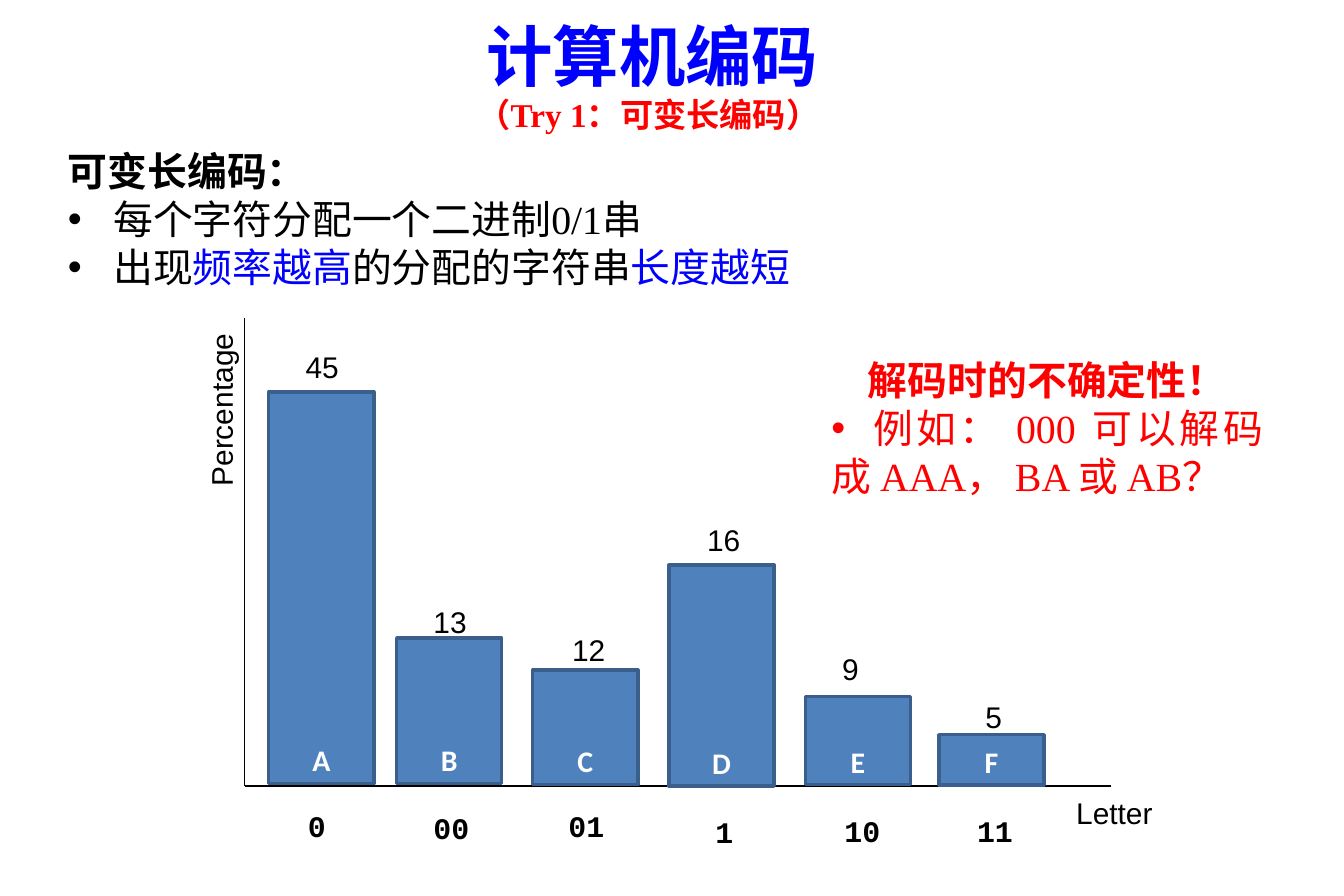
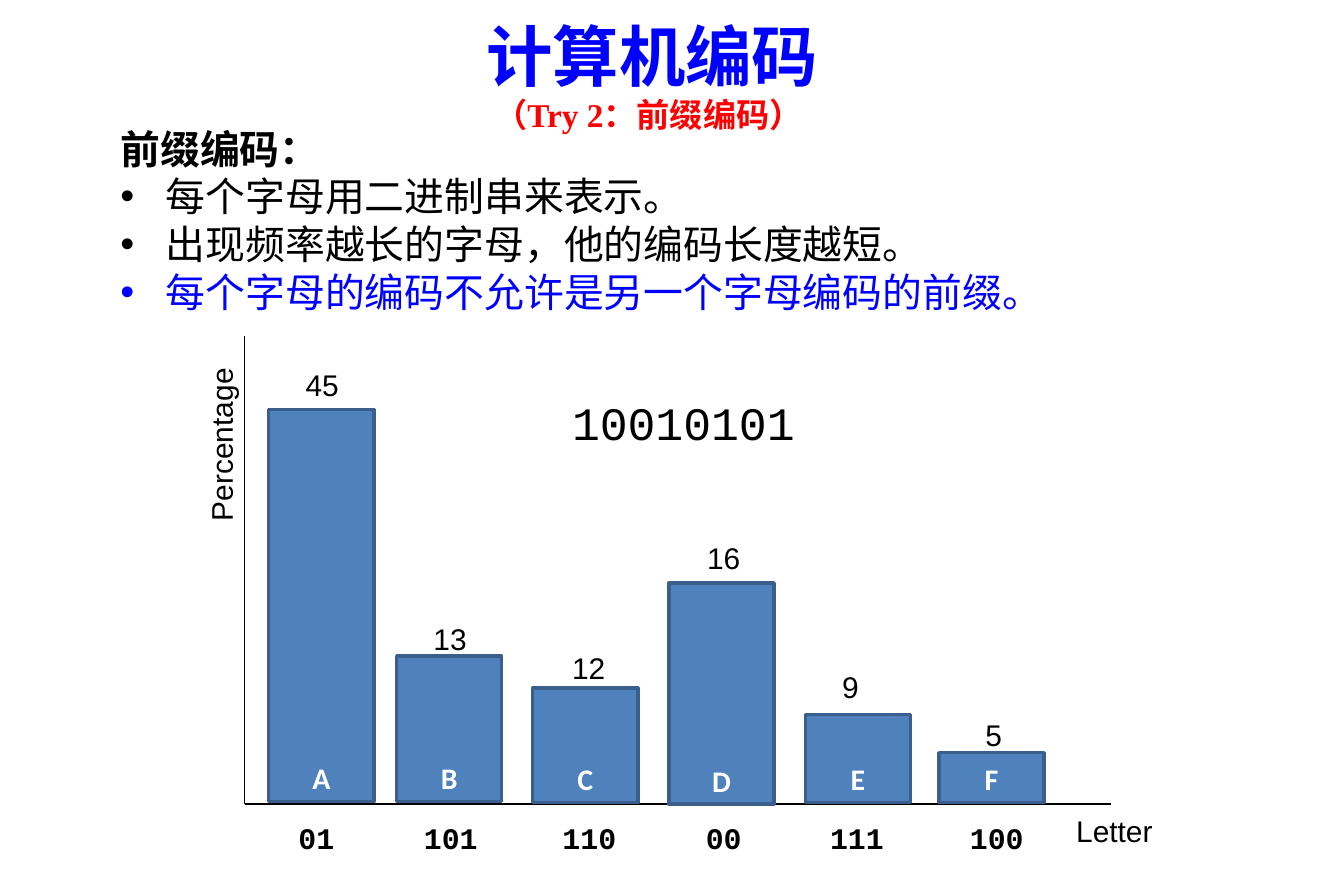
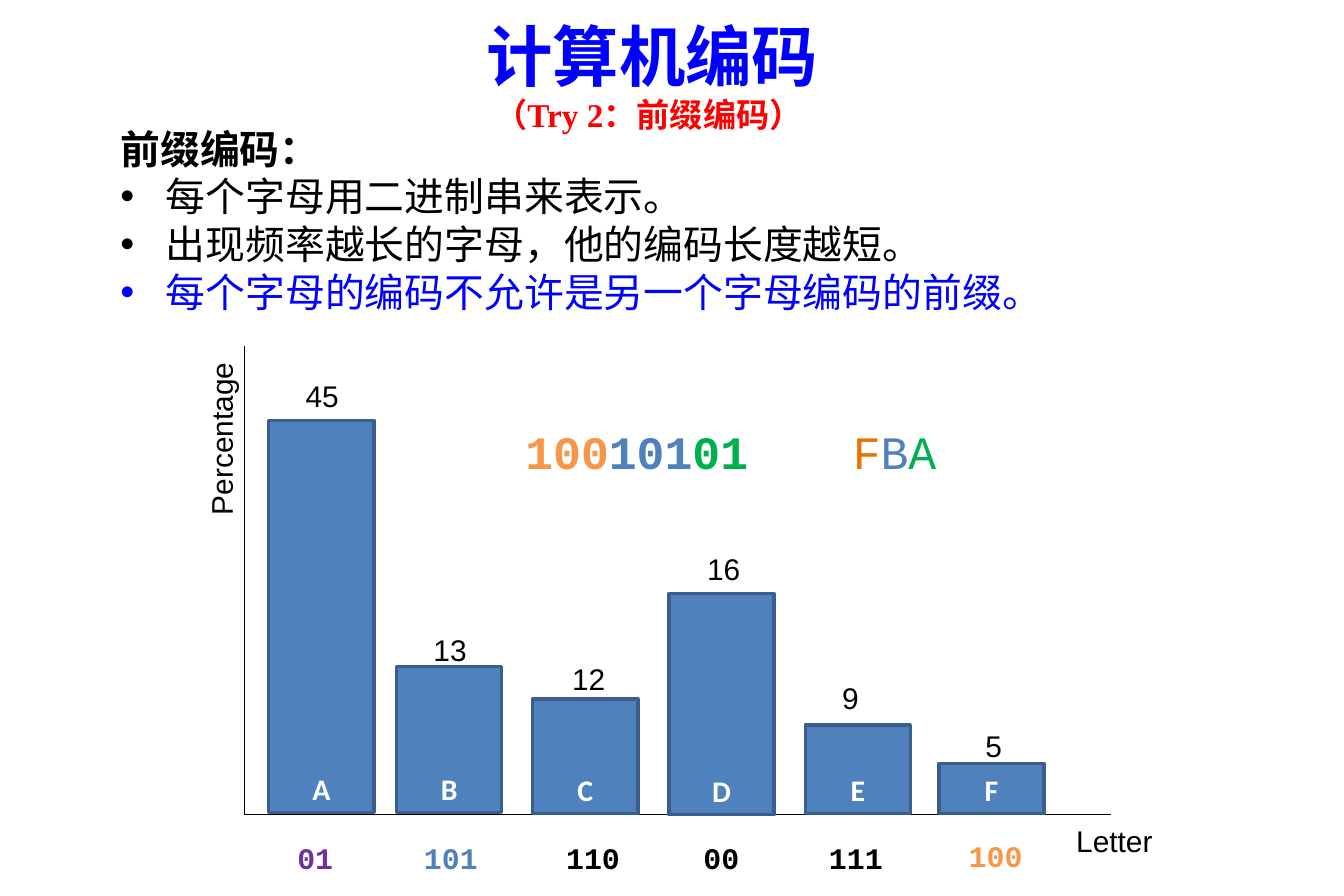
from lxml.etree import SubElement
from pptx import Presentation
from pptx.dml.color import RGBColor
from pptx.enum.shapes import MSO_CONNECTOR, MSO_SHAPE
from pptx.enum.text import MSO_ANCHOR, MSO_AUTO_SIZE, PP_ALIGN
from pptx.oxml.ns import qn
from pptx.util import Inches, Pt

BLACK = RGBColor(0, 0, 0)
WHITE = RGBColor(255, 255, 255)
BLUE = RGBColor(0, 0, 255)
RED = RGBColor(255, 0, 0)
STEEL = RGBColor(0x4F, 0x81, 0xBD)
STEEL_EDGE = RGBColor(0x3A, 0x5F, 0x8C)
ORANGE = RGBColor(0xF7, 0x96, 0x46)
DARK_ORANGE = RGBColor(0xE6, 0x75, 0x00)
GREEN = RGBColor(0x00, 0xB0, 0x50)
PURPLE = RGBColor(0x70, 0x30, 0xA0)

SERIF = "Times New Roman"
LABEL = dict(name="Arial", size=Pt(18))
LETTER = dict(name="Calibri", size=Pt(18), bold=True, color=WHITE)
CODE = dict(name="Courier New", size=Pt(18), bold=True)
STREAM = dict(name="Courier New", size=Pt(28))
BODY = dict(name=SERIF, size=Pt(24))
HEADING = dict(BODY, bold=True)
SUBTITLE = dict(name=SERIF, size=Pt(20), bold=True, color=RED)

# letter, percentage, bar left, bar top above axis, bar height, label left, label top above axis
BARS = [
    ("A", 45, 2.25, 3.3, 3.28, 2.46, 3.71),
    ("B", 13, 3.32, 1.24, 1.22, 3.53, 1.58),
    ("C", 12, 4.46, 0.97, 0.96, 4.69, 1.34),
    ("D", 16, 5.6, 1.85, 1.85, 5.82, 2.26),
    ("E", 9, 6.74, 0.75, 0.74, 6.95, 1.18),
    ("F", 5, 7.86, 0.43, 0.42, 8.15, 0.78),
]
AXIS_LEFT, AXIS_RIGHT, AXIS_HEIGHT, BAR_WIDTH = 2.05, 9.3, 3.92, 0.88


class SlideWriter:
    def __init__(self):
        self.deck = Presentation()
        self.deck.slide_width = Inches(11.25)
        self.deck.slide_height = Inches(7.5)
        self.page = None

    def new_page(self):
        self.page = self.deck.slides.add_slide(self.deck.slide_layouts[6])

    def add_runs(self, para, runs, style):
        for text, changes in runs:
            span = para.add_run()
            span.text = text
            values = {"color": BLACK, **style, **changes}
            span.font.color.rgb = values.pop("color")
            for key, value in values.items():
                setattr(span.font, key, value)

    def set_frame(self, shape, **values):
        settings = {"word_wrap": True, "vertical_anchor": MSO_ANCHOR.TOP,
                    "auto_size": MSO_AUTO_SIZE.SHAPE_TO_FIT_TEXT, **values}
        for key, value in settings.items():
            setattr(shape.text_frame, key, value)
        return shape.text_frame

    def text(self, at, runs, style, rotation=0):
        box = self.page.shapes.add_textbox(*map(Inches, at))
        box.rotation = rotation
        frame = self.set_frame(box)
        self.add_runs(frame.paragraphs[0], runs, style)

    def paragraphs(self, at, items, **frame_values):
        box = self.page.shapes.add_textbox(*map(Inches, at))
        frame = self.set_frame(box, **frame_values)
        for index, (runs, style, align, indent, tab) in enumerate(items):
            para = frame.add_paragraph() if index else frame.paragraphs[0]
            if indent is not None:
                self.bullet(para, indent, tab, runs[0][1].get("color", style.get("color", BLACK)))
            para.alignment = align
            para.line_spacing = Pt(style["size"].pt * 1.2)
            self.add_runs(para, runs, style)

    def bullet(self, para, indent, tab, color):
        props = para._p.get_or_add_pPr()
        props.set("marL", str(Inches(indent)))
        props.set("indent", str(-Inches(indent)))
        fill = SubElement(props, qn("a:buClr"))
        SubElement(fill, qn("a:srgbClr"), val=str(color))
        SubElement(props, qn("a:buFont"), typeface="Arial")
        SubElement(props, qn("a:buChar"), char="•")
        if tab:
            stops = SubElement(props, qn("a:tabLst"))
            SubElement(stops, qn("a:tab"), pos=str(Inches(tab)), algn="l")

    def title(self, subtitle, font):
        heading = dict(name=font, size=Pt(40), bold=True, color=BLUE)
        self.paragraphs((0.4, 0, 10.12, 1.25), [
            ([("计算机编码", {})], heading, PP_ALIGN.CENTER, None, None),
            ([(subtitle, {})], SUBTITLE, PP_ALIGN.CENTER, None, None),
        ], vertical_anchor=MSO_ANCHOR.MIDDLE, auto_size=MSO_AUTO_SIZE.NONE)

    def rules(self, at, heading, points):
        items = [([(heading, {})], HEADING, PP_ALIGN.LEFT, None, None)]
        items += [(runs, BODY, PP_ALIGN.LEFT, 0.38, None) for runs in points]
        self.paragraphs(at, items)

    def rectangle(self, at, fill, edge=None):
        shape = self.page.shapes.add_shape(MSO_SHAPE.RECTANGLE, *map(Inches, at))
        shape.shadow.inherit = False
        shape.fill.solid()
        shape.fill.fore_color.rgb = fill
        if edge is None:
            shape.line.fill.background()
        else:
            shape.line.color.rgb = edge
            shape.line.width = Pt(2)
        return shape

    def axis(self, *ends):
        line = self.page.shapes.add_connector(MSO_CONNECTOR.STRAIGHT, *map(Inches, ends))
        line.line.color.rgb = BLACK
        line.line.width = Pt(0.75)
        SubElement(line._element.spPr, qn("a:effectLst"))

    def bar(self, letter, left, top, height):
        shape = self.rectangle((left, top, BAR_WIDTH, height), STEEL, STEEL_EDGE)
        frame = self.set_frame(shape, vertical_anchor=MSO_ANCHOR.BOTTOM,
                               auto_size=MSO_AUTO_SIZE.NONE)
        frame.paragraphs[0].alignment = PP_ALIGN.CENTER
        self.add_runs(frame.paragraphs[0], [(letter, {})], LETTER)

    def code(self, text, left, top, width, color=BLACK):
        shape = self.rectangle((left, top, width, 0.4), WHITE)
        frame = self.set_frame(shape, margin_right=0)
        frame.paragraphs[0].alignment = PP_ALIGN.LEFT
        self.add_runs(frame.paragraphs[0], [(text, {"color": color})], CODE)

    def frequency_chart(self, base, caption_top, codes):
        self.axis(AXIS_LEFT, base - AXIS_HEIGHT, AXIS_LEFT, base)
        self.axis(AXIS_RIGHT, base, AXIS_LEFT, base)
        for letter, _, left, rise, height, _, _ in BARS:
            self.bar(letter, left, base - rise, height)
        self.text((0.96, caption_top, 1.78, 0.4), [("Percentage", {})], LABEL, 270)
        self.text((8.91, base + 0.02, 1.09, 0.4), [("Letter", {})], LABEL)
        for _, percentage, _, _, _, left, rise in BARS:
            self.text((left, base - rise, 0.76, 0.4), [(str(percentage), {})], LABEL)
        for code in codes:
            self.code(*code)


def variable_length_page(writer):
    writer.new_page()
    writer.frequency_chart(6.58, 3.08, [
        ("0", 2.48, 6.71, 0.4), ("00", 3.53, 6.73, 0.58), ("01", 4.66, 6.71, 0.58),
        ("1", 5.89, 6.76, 0.5), ("10", 6.97, 6.75, 0.58), ("11", 8.08, 6.75, 0.58),
    ])
    blue = {"color": BLUE}
    writer.rules((0.47, 1.18, 10.06, 1.31), "可变长编码：", [
        [("每个字符分配一个二进制0/1串", {})],
        [("出现", {}), ("频率越高", blue), ("的分配的字符串", {}), ("长度越短", blue)],
    ])
    writer.title("（Try 1：可变长编码） ", "Noto Sans CJK SC")
    red_body = dict(BODY, color=RED)
    writer.paragraphs((6.86, 2.93, 3.81, 1.31), [
        ([("解码时的不确定性！", {})], dict(HEADING, color=RED), PP_ALIGN.CENTER, None, None),
        ([("\t例如： 000 可以解码成 AAA， BA 或 AB？", {})], red_body, PP_ALIGN.JUSTIFY, 0, 0.32),
    ])


def prefix_page(writer, base, caption_top, codes, streams):
    writer.new_page()
    writer.frequency_chart(base, caption_top, codes)
    for at, runs in streams:
        writer.text(at, runs, STREAM)
    writer.title("（Try 2：前缀编码） ", SERIF)
    writer.rules((0.91, 0.99, 8.67, 1.72), "前缀编码：", [
        [("每个字母用二进制串来表示。", {})],
        [("出现频率越长的字母，他的编码长度越短。", {})],
        [("每个字母的编码不允许是另一个字母编码的前缀。", {"color": BLUE})],
    ])


def main():
    writer = SlideWriter()
    variable_length_page(writer)
    prefix_page(writer, 6.73, 3.37, [
        ("01", 2.4, 6.81, 0.5), ("101", 3.45, 6.81, 0.7), ("110", 4.61, 6.81, 0.7),
        ("00", 5.81, 6.81, 0.5), ("111", 6.85, 6.81, 0.67), ("100", 8.02, 6.81, 0.67),
    ], [((4.69, 3.25, 2.83, 0.57), [("10010101", {})])])
    prefix_page(writer, 6.82, 3.32, [
        ("01", 2.39, 6.98, 0.5, PURPLE), ("101", 3.45, 6.98, 0.72, STEEL),
        ("110", 4.64, 6.98, 0.69), ("00", 5.79, 6.98, 0.5),
        ("111", 6.84, 6.98, 0.69), ("100", 8.01, 6.96, 0.69, ORANGE),
    ], [
        ((4.3, 3.49, 5.47, 0.57), [
            ("100", {"color": ORANGE, "bold": True}),
            ("101", {"color": STEEL, "bold": True}),
            ("01", {"color": GREEN, "bold": True}),
        ]),
        ((7.04, 3.49, 1.03, 0.57), [
            ("F", {"color": DARK_ORANGE}), ("B", {"color": STEEL}), ("A", {"color": GREEN}),
        ]),
    ])
    writer.deck.save("out.pptx")


if __name__ == "__main__":
    main()
